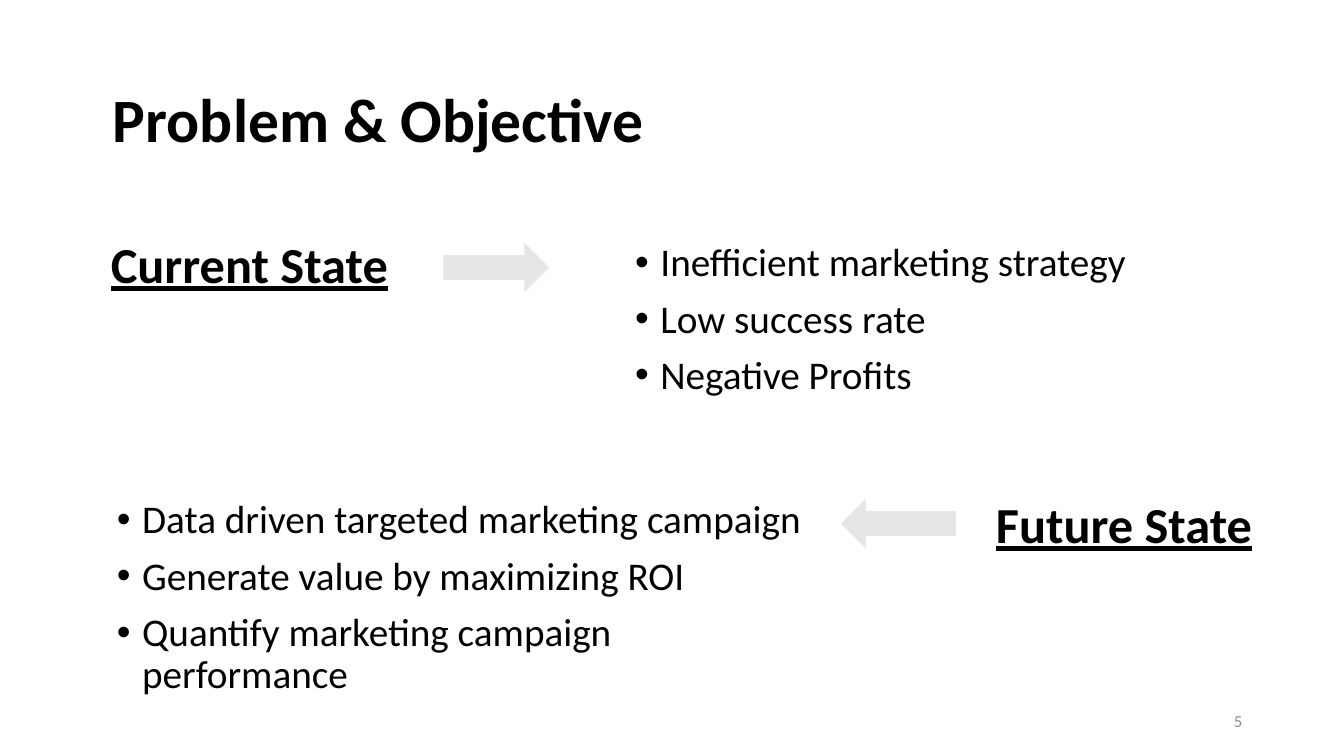
from pptx import Presentation
from pptx.dml.color import RGBColor
from pptx.enum.shapes import MSO_SHAPE
from pptx.enum.text import MSO_ANCHOR, MSO_AUTO_SIZE, PP_ALIGN
from pptx.oxml.ns import qn
from pptx.util import Inches, Pt
from lxml.etree import SubElement

BLACK = RGBColor(0x00, 0x00, 0x00)
WHITE = RGBColor(0xFF, 0xFF, 0xFF)
PALE_GREY = RGBColor(0xE7, 0xE6, 0xE6)
NUMBER_GREY = RGBColor(0x8C, 0x8C, 0x8C)


def place(shape, left, top, width, height):
    shape.left, shape.top = Inches(left), Inches(top)
    shape.width, shape.height = Inches(width), Inches(height)


def write(shape, lines, size, color=BLACK, bold=False, underline=False, align=PP_ALIGN.LEFT):
    frame = shape.text_frame
    frame.word_wrap = True
    frame.auto_size = MSO_AUTO_SIZE.NONE
    frame.text = "\n".join(lines)
    for para in frame.paragraphs:
        para.alignment = align
        for span in para.runs:
            span.font.name = "Calibri"
            span.font.size = Pt(size)
            span.font.bold = bold
            span.font.underline = underline
            span.font.color.rgb = color


deck = Presentation()
deck.slide_width = Inches(13.33)
deck.slide_height = Inches(7.5)
page = deck.slides.add_slide(deck.slide_layouts.get_by_name("Two Content"))

title = page.shapes.title
place(title, 1.02, 0.48, 7.65, 1.48)
write(title, ["Problem & Objective"], 44, bold=True)
title.text_frame.vertical_anchor = MSO_ANCHOR.MIDDLE
title.text_frame.paragraphs[0].line_spacing = 0.9

state_lists = [
    (1, (6.2, 2.36, 6.81, 1.78),
     ["Inefficient marketing strategy", "Low success rate", "Negative Profits"]),
    (2, (1.06, 4.91, 7.13, 2.38),
     ["Data driven targeted marketing campaign", "Generate value by maximizing ROI",
      "Quantify marketing campaign performance"]),
]
for index, position, points in state_lists:
    body = page.placeholders[index]
    place(body, *position)
    write(body, points, 28)
    for para in body.text_frame.paragraphs:
        para.line_spacing = 0.9
        para.space_before = Pt(10)
        properties = para._p.get_or_add_pPr()
        properties.set("marL", str(Inches(0.25)))
        properties.set("indent", str(-Inches(0.25)))
        SubElement(properties, qn("a:buFont")).set("typeface", "Arial")
        SubElement(properties, qn("a:buChar")).set("char", "•")

for heading, left, top, width in [("Current State", 1, 2.26, 4.25), ("Future State", 9.78, 4.84, 3.18)]:
    box = page.shapes.add_textbox(Inches(left), Inches(top), Inches(width), Inches(0.71))
    write(box, [heading], 36, bold=True, underline=True)

for preset, left, top, width in [
    (MSO_SHAPE.RIGHT_ARROW, 4.39, 2.39, 1.07),
    (MSO_SHAPE.LEFT_ARROW, 8.33, 4.93, 1.16),
]:
    arrow = page.shapes.add_shape(preset, Inches(left), Inches(top), Inches(width), Inches(0.53))
    arrow.shadow.inherit = False
    arrow.fill.solid()
    arrow.fill.fore_color.rgb = PALE_GREY
    arrow.line.color.rgb = WHITE
    arrow.line.width = Pt(1)

page_number = page.shapes.add_textbox(Inches(9.42), Inches(6.95), Inches(3), Inches(0.4))
write(page_number, ["5"], 12, NUMBER_GREY, align=PP_ALIGN.RIGHT)
page_number.text_frame.vertical_anchor = MSO_ANCHOR.MIDDLE

deck.save("out.pptx")
